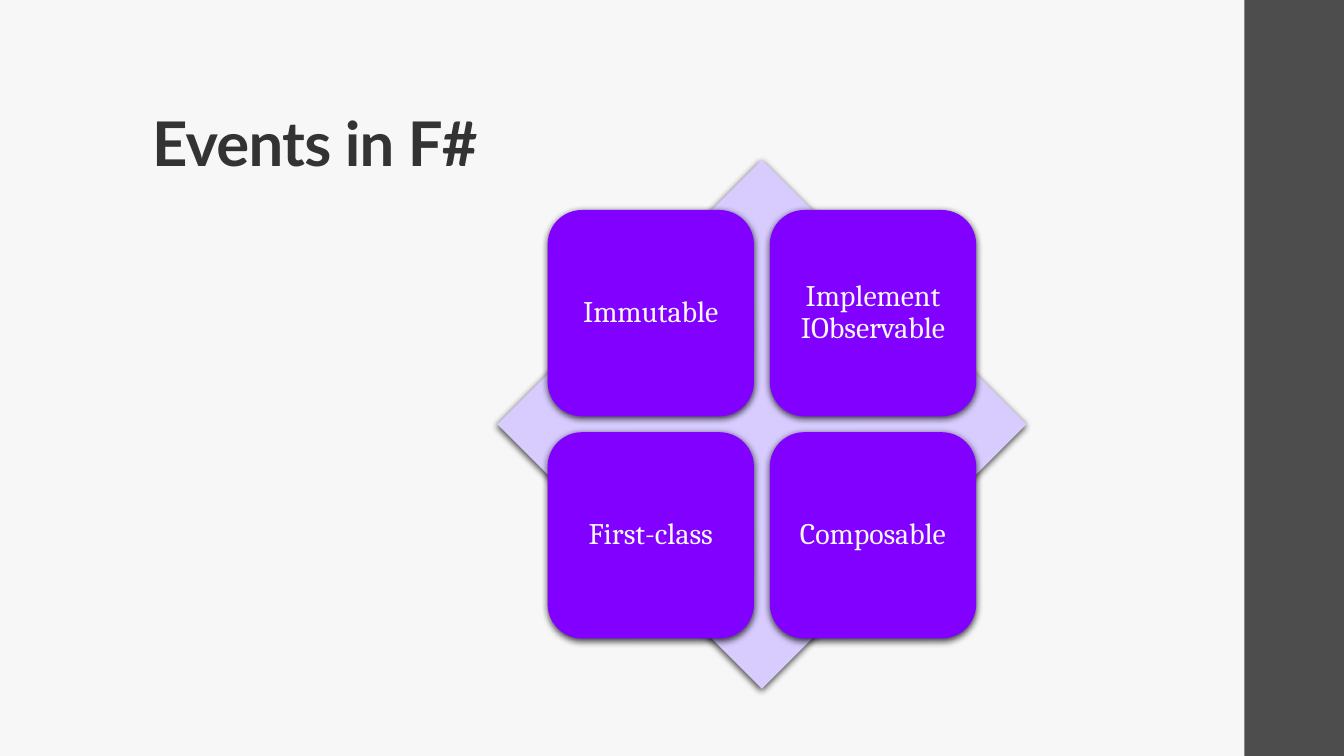
from lxml import etree
from pptx import Presentation
from pptx.dml.color import RGBColor
from pptx.enum.shapes import MSO_SHAPE
from pptx.enum.text import MSO_ANCHOR, MSO_AUTO_SIZE, PP_ALIGN
from pptx.oxml.ns import qn
from pptx.util import Cm, Pt

PAPER = RGBColor(0xF7, 0xF7, 0xF7)
INK = RGBColor(0x33, 0x33, 0x33)
CHARCOAL = RGBColor(0x4D, 0x4D, 0x4D)
LAVENDER = RGBColor(0xD8, 0xCC, 0xFF)
VIOLET = RGBColor(0x82, 0x00, 0xFF)

SLIDE_W, SLIDE_H = 25.4, 14.29
TRAITS = ["Immutable", "Implement IObservable", "First-class", "Composable"]


def write(tf, text, *, size, font, color, bold=False, align=PP_ALIGN.LEFT,
          anchor=MSO_ANCHOR.MIDDLE, spacing=None):
    tf.word_wrap = True
    tf.auto_size = MSO_AUTO_SIZE.NONE
    tf.vertical_anchor = anchor
    p = tf.paragraphs[0]
    p.alignment = align
    p.line_spacing = 0.9
    p.space_before = Pt(0)
    r = p.add_run()
    r.text = text
    r.font.size = Pt(size)
    r.font.name = font
    r.font.bold = bold
    r.font.color.rgb = color
    if spacing is not None:
        r.font._element.set("spc", str(round(spacing * 100)))


def add_shadow(sp):
    effects = sp._element.spPr.find(qn("a:effectLst"))
    shadow = etree.SubElement(effects, qn("a:outerShdw"), blurRad=str(Pt(4)),
                              dist=str(Pt(1.2)), dir="5400000", rotWithShape="0")
    color = etree.SubElement(shadow, qn("a:srgbClr"), val="000000")
    etree.SubElement(color, qn("a:alpha"), val="75000")


def add_block(s, kind, x, y, w, h, color, shadow=True):
    sp = s.shapes.add_shape(kind, Cm(x), Cm(y), Cm(w), Cm(h))
    sp.fill.solid()
    sp.fill.fore_color.rgb = color
    sp.line.fill.background()
    sp.shadow.inherit = False
    if shadow:
        add_shadow(sp)
    return sp


def place_title(s, text, x, y, w, h):
    title = s.shapes.title
    title.left, title.top, title.width, title.height = Cm(x), Cm(y), Cm(w), Cm(h)
    write(title.text_frame, text, size=33, font="Lato", color=INK, bold=True,
          anchor=MSO_ANCHOR.BOTTOM, spacing=-0.4)


def place_matrix(s, labels, x, y, side):
    add_block(s, MSO_SHAPE.DIAMOND, x, y, side, side, LAVENDER)
    margin = side * 0.095
    tile = side * 0.39
    step = side - 2 * margin - tile
    for i, label in enumerate(labels):
        row, col = divmod(i, 2)
        sp = add_block(s, MSO_SHAPE.ROUNDED_RECTANGLE, x + margin + col * step,
                       y + margin + row * step, tile, tile, VIOLET)
        tf = sp.text_frame
        tf.margin_left = tf.margin_right = tf.margin_top = tf.margin_bottom = Cm(0.17)
        write(tf, label, size=16, font="Cambria", color=PAPER, align=PP_ALIGN.CENTER)


def main():
    prs = Presentation()
    prs.slide_width, prs.slide_height = Cm(SLIDE_W), Cm(SLIDE_H)
    s = prs.slides.add_slide(prs.slide_layouts[5])
    s.background.fill.solid()
    s.background.fill.fore_color.rgb = PAPER
    bar_x = 23.52
    add_block(s, MSO_SHAPE.RECTANGLE, bar_x, 0, SLIDE_W - bar_x, SLIDE_H, CHARCOAL,
              shadow=False)
    place_title(s, "Events in F#", 2.62, 0.76, 20.19, 2.77)
    place_matrix(s, TRAITS, 9.4, 3.02, 10)
    prs.save("out.pptx")


if __name__ == "__main__":
    main()
